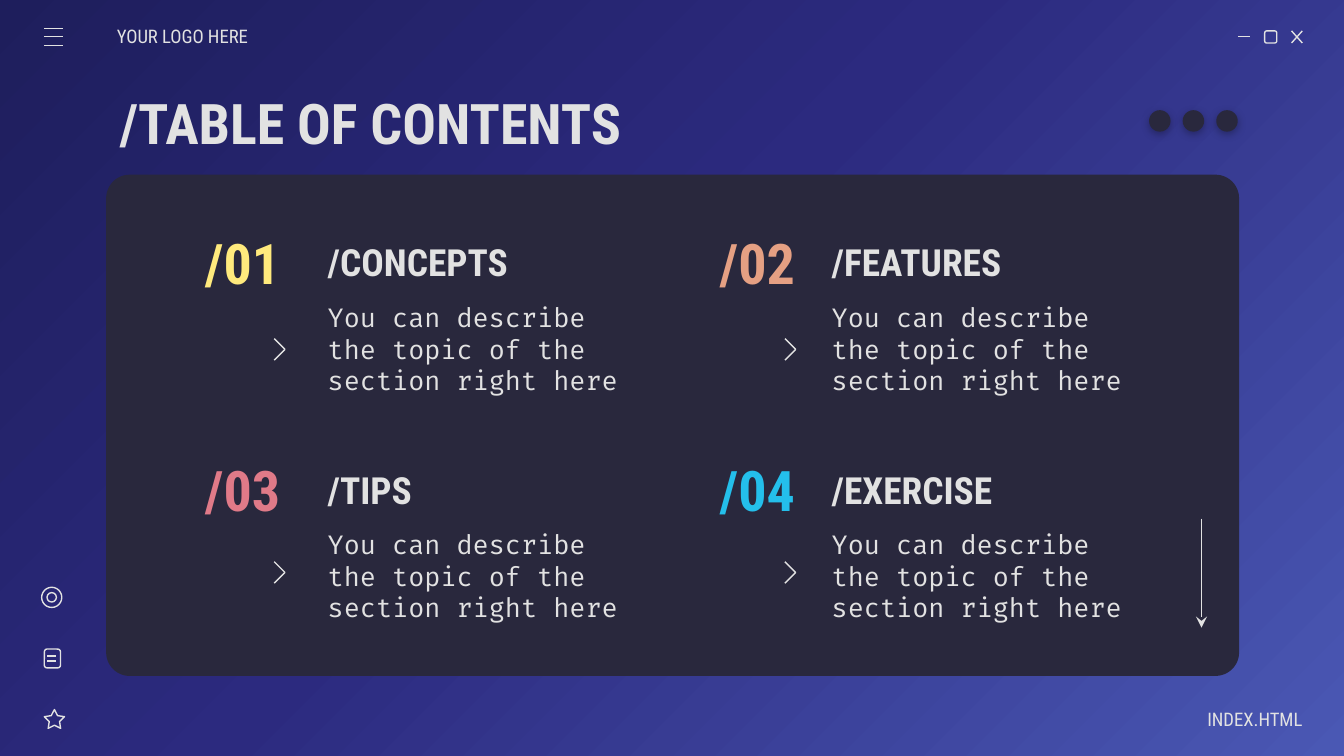
from dataclasses import dataclass

from lxml import etree
from pptx import Presentation
from pptx import util as u
from pptx.dml.color import RGBColor
from pptx.enum import shapes, text
from pptx.oxml import parse_xml
from pptx.oxml.ns import nsdecls, qn

NIGHT = RGBColor(0x1E, 0x1E, 0x5C)
INDIGO = RGBColor(0x2C, 0x2A, 0x7F)
PERIWINKLE = RGBColor(0x4A, 0x58, 0xB4)
PANEL = RGBColor(0x29, 0x28, 0x3D)
LIGHT = RGBColor(0xE2, 0xE2, 0xE2)
YELLOW = RGBColor(0xFF, 0xEA, 0x7D)
ORANGE = RGBColor(0xE5, 0xA0, 0x83)
PINK = RGBColor(0xE0, 0x7A, 0x88)
CYAN = RGBColor(0x24, 0xBF, 0xEB)

HEADING_FONT = "Roboto Condensed"
BODY_FONT = "Fira Code"
DESCRIPTION = "You can describe the topic of the section right here"
LEFT, CENTER, RIGHT = text.PP_ALIGN.LEFT, text.PP_ALIGN.CENTER, text.PP_ALIGN.RIGHT
KIND = shapes.MSO_SHAPE


@dataclass(frozen=True)
class Box:
    left: float
    top: float
    width: float
    height: float

    def emu(self) -> list:
        return [u.Inches(v) for v in (self.left, self.top, self.width, self.height)]


@dataclass(frozen=True)
class Style:
    size: float
    color: RGBColor = LIGHT
    font: str = HEADING_FONT
    bold: bool = False
    align: text.PP_ALIGN = LEFT


@dataclass(frozen=True)
class Column:
    number_left: float
    chevron_left: float
    topic_left: float


@dataclass(frozen=True)
class Row:
    top: float
    chevron_top: float


@dataclass(frozen=True)
class Section:
    number: str
    topic: str
    color: RGBColor
    column: Column
    row: Row


LEFT_COLUMN, RIGHT_COLUMN = Column(1.35, 2.04, 2.34), Column(5.18, 5.84, 6.09)
TOP_ROW, BOTTOM_ROW = Row(1.67, 2.52), Row(3.36, 4.18)
SECTIONS = [
    Section("/01", "/CONCEPTS", YELLOW, LEFT_COLUMN, TOP_ROW),
    Section("/02", "/FEATURES", ORANGE, RIGHT_COLUMN, TOP_ROW),
    Section("/03", "/TIPS", PINK, LEFT_COLUMN, BOTTOM_ROW),
    Section("/04", "/EXERCISE", CYAN, RIGHT_COLUMN, BOTTOM_ROW),
]


def paint_background(slide) -> None:
    slide.background.fill.gradient()
    stops = "".join(
        f'<a:gs pos="{pos * 1000}"><a:srgbClr val="{color}"/></a:gs>'
        for pos, color in ((0, NIGHT), (46, INDIGO), (100, PERIWINKLE))
    )
    gradient = parse_xml(
        f'<a:gradFill {nsdecls("a")} rotWithShape="1"><a:gsLst>{stops}</a:gsLst>'
        '<a:path path="circle"><a:fillToRect r="100000" b="100000"/></a:path>'
        "<a:tileRect/></a:gradFill>"
    )
    default = slide.element.find(".//" + qn("a:gradFill"))
    default.getparent().replace(default, gradient)


def write(shape, words: str, style: Style, left: float = 0.1, right: float = 0.1) -> None:
    frame = shape.text_frame
    frame.word_wrap = True
    frame.auto_size = text.MSO_AUTO_SIZE.NONE
    frame.vertical_anchor = text.MSO_ANCHOR.MIDDLE
    frame.margin_left, frame.margin_right = u.Inches(left), u.Inches(right)
    frame.margin_top = frame.margin_bottom = u.Inches(0.1)
    paragraph = frame.paragraphs[0]
    paragraph.alignment = style.align
    run = paragraph.add_run()
    run.text = words
    run.font.name, run.font.size = style.font, u.Pt(style.size)
    run.font.bold = style.bold
    run.font.color.rgb = style.color


def add_text(slide, box: Box, words: str, style: Style, **margins: float) -> None:
    write(slide.shapes.add_textbox(*box.emu()), words, style, **margins)


def outline(shape) -> None:
    shape.fill.background()
    shape.line.color.rgb = LIGHT
    shape.line.width = u.Pt(0.75)
    shape.shadow.inherit = False


def add_outlined(slide, kind: shapes.MSO_SHAPE, box: Box):
    shape = slide.shapes.add_shape(kind, *box.emu())
    outline(shape)
    return shape


def add_solid(slide, kind: shapes.MSO_SHAPE, box: Box):
    shape = slide.shapes.add_shape(kind, *box.emu())
    shape.fill.solid()
    shape.fill.fore_color.rgb = PANEL
    shape.line.fill.background()
    shape.shadow.inherit = False
    return shape


def add_line(slide, x1: float, y1: float, x2: float, y2: float, arrow: bool = False) -> None:
    ends = [u.Inches(v) for v in (x1, y1, x2, y2)]
    line = slide.shapes.add_connector(shapes.MSO_CONNECTOR.STRAIGHT, *ends)
    line.line.color.rgb = LIGHT
    line.line.width = u.Pt(0.75)
    properties = line.element.spPr
    if arrow:
        etree.SubElement(properties.find(qn("a:ln")), qn("a:tailEnd"), type="stealth")
    etree.SubElement(properties, qn("a:effectLst"))


def add_chevron(slide, left: float, top: float) -> None:
    builder = slide.shapes.build_freeform(u.Inches(left), u.Inches(top))
    tip_and_end = [(left + 0.08, top + 0.08), (left, top + 0.16)]
    builder.add_line_segments([(u.Inches(x), u.Inches(y)) for x, y in tip_and_end], close=False)
    outline(builder.convert_to_shape())


def add_dot(slide, left: float) -> None:
    dot = add_solid(slide, KIND.OVAL, Box(left, 0.82, 0.16, 0.16))
    dot.element.spPr.find(qn("a:effectLst")).append(parse_xml(
        f'<a:outerShdw {nsdecls("a")} blurRad="{u.Pt(4.5)}" dist="{u.Pt(1.5)}" dir="5400000" '
        'algn="bl" rotWithShape="0"><a:srgbClr val="000000"><a:alpha val="30000"/>'
        "</a:srgbClr></a:outerShdw>"
    ))


def add_section(slide, section: Section) -> None:
    column, row = section.column, section.row
    add_text(slide, Box(column.topic_left, row.top, 2.56, 0.56), section.topic,
             Style(20, bold=True))
    add_text(slide, Box(column.number_left, row.top, 0.91, 0.56), section.number,
             Style(30, section.color, bold=True, align=CENTER))
    add_text(slide, Box(column.topic_left, row.top + 0.55, 2.56, 0.75), DESCRIPTION,
             Style(14, font=BODY_FONT))
    add_chevron(slide, column.chevron_left, row.chevron_top)


def main() -> None:
    deck = Presentation()
    deck.slide_width, deck.slide_height = u.Inches(10), u.Inches(5.625)
    slide = deck.slides.add_slide(deck.slide_layouts[5])
    paint_background(slide)

    # Title and panel
    title = slide.shapes.title
    title.left, title.top, title.width, title.height = Box(0.79, 0.59, 8.43, 0.63).emu()
    write(title, "/TABLE OF CONTENTS", Style(30, bold=True))
    panel = add_solid(slide, KIND.ROUNDED_RECTANGLE, Box(0.79, 1.3, 8.43, 3.73))
    panel.adjustments[0] = 0.047

    # Window buttons: minimise, maximise, close
    add_line(slide, 9.21, 0.27, 9.3, 0.27)
    add_outlined(slide, KIND.ROUNDED_RECTANGLE, Box(9.41, 0.23, 0.09, 0.09))
    add_line(slide, 9.61, 0.23, 9.69, 0.32)
    add_line(slide, 9.69, 0.23, 9.61, 0.32)

    # Four sections
    for section in SECTIONS:
        add_section(slide, section)

    # Header and footer labels
    add_text(slide, Box(0.87, 0.12, 1.17, 0.3), "YOUR LOGO HERE", Style(10), left=0)
    add_text(slide, Box(8.52, 5.2, 1.17, 0.3), "INDEX.HTML", Style(10, align=RIGHT), right=0)

    # Menu icon
    for y in (0.21, 0.27, 0.34):
        add_line(slide, 0.33, y, 0.47, y)

    # Side icons: star, note, target
    star = add_outlined(slide, KIND.STAR_5_POINT, Box(0.33, 5.28, 0.15, 0.14))
    star.adjustments[0] = 0.254
    add_outlined(slide, KIND.ROUNDED_RECTANGLE, Box(0.33, 4.83, 0.12, 0.14))
    for y in (4.88, 4.92):
        add_line(slide, 0.35, y, 0.42, y)
    add_outlined(slide, KIND.OVAL, Box(0.31, 4.37, 0.15, 0.15))
    add_outlined(slide, KIND.OVAL, Box(0.35, 4.41, 0.07, 0.07))

    # Scroll arrow and window dots
    add_line(slide, 8.94, 3.86, 8.94, 4.67, arrow=True)
    for index in range(3):
        add_dot(slide, 8.55 + 0.25 * index)

    deck.save("out.pptx")


if __name__ == "__main__":
    main()
